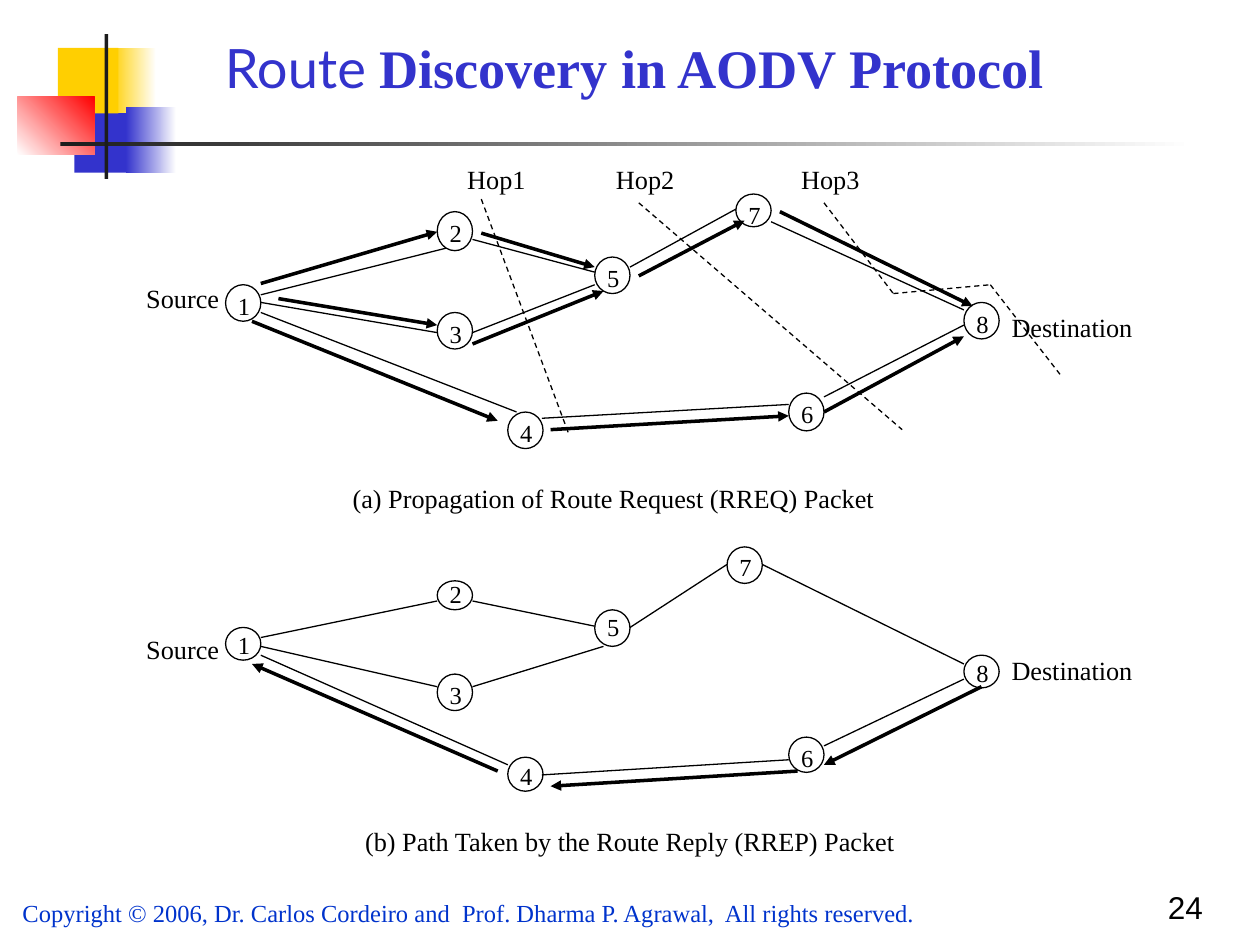
"""Build the slide on route discovery in the AODV protocol."""
from lxml import etree
from pptx import Presentation
from pptx.dml.color import RGBColor
from pptx.enum.dml import MSO_LINE
from pptx.enum.shapes import MSO_CONNECTOR, MSO_SHAPE
from pptx.enum.text import PP_ALIGN
from pptx.oxml.ns import qn
from pptx.util import Inches, Pt

RECT, OVAL = MSO_SHAPE.RECTANGLE, MSO_SHAPE.OVAL
STRAIGHT, DASH = MSO_CONNECTOR.STRAIGHT, MSO_LINE.DASH
LEFT, CENTER = PP_ALIGN.LEFT, PP_ALIGN.CENTER
SERIF, SANS, TITLE_FONT = "Times New Roman", "Arial", "Lato"
BLACK, WHITE, BLUE, YELLOW, INK = "000000", "FFFFFF", "3333CC", "FFCF01", "1C1C1C"
NODE_WIDTH, DIGIT_SIZE = 0.28, (0.35, 0.34)

DECORATION = [
    ((0.59, 0.85, 0.46, 0.52), [BLUE], 0),
    ((0.88, 0.38, 0.36, 0.52), [YELLOW, WHITE], 0),
    ((0.46, 0.38, 0.48, 0.52), [YELLOW], 0),
    ((1, 0.85, 0.4, 0.52), [BLUE, WHITE], 0),
    ((0.14, 0.77, 0.61, 0.46), [WHITE, "FF0000"], 45),
    ((0.48, 1.13, 9, 0.03), [INK, WHITE], 0),
    ((0.83, 0.27, 0.03, 1.15), [INK], 0),
]

TITLE = [("Route", TITLE_FONT, False), (" Discovery in AODV Protocol", SERIF, True)]
COPYRIGHT = "Copyright © 2006, Dr. Carlos Cordeiro and  Prof. Dharma P. Agrawal,  All rights reserved."

REQUEST = {
    "nodes": [  # label, left, top, height, digit top
        ("1", 1.79, 2.26, 0.29, 2.26), ("2", 3.47, 1.68, 0.31, 1.68),
        ("5", 4.72, 2.04, 0.29, 2.04), ("3", 3.47, 2.48, 0.29, 2.48),
        ("4", 4.03, 3.27, 0.29, 3.27), ("6", 6.26, 3.12, 0.3, 3.12),
        ("8", 7.65, 2.4, 0.29, 2.4), ("7", 5.84, 1.54, 0.26, 1.54),
    ],
    "links": [
        (2.07, 2.34, 3.54, 1.97), (6.12, 1.76, 7.65, 2.46), (2.07, 2.4, 3.47, 2.64),
        (2.07, 2.48, 4.1, 3.27), (4.3, 3.32, 6.26, 3.21), (6.54, 3.15, 7.65, 2.58),
        (3.75, 2.64, 4.72, 2.26), (3.75, 1.9, 4.72, 2.16), (5, 2.12, 5.84, 1.66),
    ],
    "packets": [
        (2.07, 2.25, 3.47, 1.84), (2.21, 2.37, 3.47, 2.58), (3.75, 2.73, 4.79, 2.31),
        (3.82, 1.85, 4.72, 2.12), (5.07, 2.19, 5.91, 1.75), (2, 2.55, 3.95, 3.34),
        (4.37, 3.41, 6.26, 3.3), (6.54, 3.27, 7.65, 2.67), (6.19, 1.68, 7.72, 2.43),
    ],
    "source_top": 2.19,
    "destination_top": 2.42,
    "caption": ("(a) Propagation of Route Request (RREQ) Packet", (1.59, 3.78, 6.56, 0.35)),
}

REPLY = {
    "nodes": [
        ("1", 1.79, 4.98, 0.26, 4.95), ("2", 3.47, 4.61, 0.23, 4.55),
        ("5", 4.72, 4.84, 0.29, 4.81), ("3", 3.47, 5.35, 0.29, 5.35),
        ("4", 4.03, 6.01, 0.27, 5.99), ("6", 6.26, 5.85, 0.28, 5.85),
        ("8", 7.65, 5.2, 0.26, 5.17), ("7", 5.77, 4.34, 0.29, 4.33),
    ],
    "links": [
        (2.07, 5.06, 3.47, 4.77), (6.05, 4.48, 7.65, 5.27), (2.07, 5.13, 3.47, 5.45),
        (2.07, 5.2, 4.03, 6.07), (4.3, 6.15, 6.26, 6.03), (6.54, 5.92, 7.65, 5.39),
        (3.75, 5.45, 4.79, 5.13), (3.75, 4.77, 4.72, 4.97), (5, 4.98, 5.77, 4.48),
    ],
    "packets": [
        (7.79, 5.45, 6.54, 6.07), (6.33, 6.12, 4.37, 6.24), (3.95, 6.12, 2, 5.27),
    ],
    "source_top": 4.98,
    "destination_top": 5.14,
    "caption": ("(b) Path Taken by the Route Reply (RREP) Packet", (1.79, 6.5, 6.42, 0.35)),
}

HOPS = [("Hop1", 3.61), ("Hop2", 4.79), ("Hop3", 6.26)]
HOP_BOUNDARIES = [
    (3.82, 1.58, 4.52, 3.46), (5.07, 1.61, 7.16, 3.41), (6.54, 1.61, 7.09, 2.33),
    (7.86, 2.26, 8.42, 2.98), (7.09, 2.33, 7.86, 2.26),
]


def rgb(color):
    return RGBColor.from_string(color)


def add_block(slide, kind, box, colors, angle=0, outline=None):
    block = slide.shapes.add_shape(kind, *map(Inches, box))
    block.shadow.inherit = False
    if len(colors) == 1:
        block.fill.solid()
        block.fill.fore_color.rgb = rgb(colors[0])
    else:
        block.fill.gradient()
        block.fill.gradient_angle = angle
        for position, (stop, color) in enumerate(zip(block.fill.gradient_stops, colors)):
            stop.position = position
            stop.color.rgb = rgb(color)
    if outline:
        block.line.color.rgb = rgb(outline)
        block.line.width = Pt(0.75)
    else:
        block.line.fill.background()


def add_text(slide, box, text, size=15, color=BLACK, font=SERIF, align=LEFT):
    frame = slide.shapes.add_textbox(*map(Inches, box)).text_frame
    frame.word_wrap = True
    paragraph = frame.paragraphs[0]
    paragraph.text = text
    paragraph.alignment = align
    paragraph.font.size = Pt(size)
    paragraph.font.name = font
    paragraph.font.color.rgb = rgb(color)
    return paragraph


def add_line(slide, ends, width=0.75, dash=None, arrow=False):
    connector = slide.shapes.add_connector(STRAIGHT, *map(Inches, ends))
    connector.line.color.rgb = rgb(BLACK)
    connector.line.width = Pt(width)
    if dash:
        connector.line.dash_style = dash
    if arrow:
        etree.SubElement(connector.line._get_or_add_ln(), qn("a:tailEnd"), type="triangle")
    etree.SubElement(connector._element.spPr, qn("a:effectLst"))


def add_diagram(slide, diagram):
    add_text(slide, (0.96, diagram["source_top"], 0.98, 0.35), "Source", align=CENTER)
    add_text(slide, (7.93, diagram["destination_top"], 1.26, 0.35), "Destination")
    for _, left, top, height, _ in diagram["nodes"]:
        add_block(slide, OVAL, (left, top, NODE_WIDTH, height), [WHITE], outline=BLACK)
    for link in diagram["links"]:
        add_line(slide, link)
    for label, left, _, _, digit_top in diagram["nodes"]:
        add_text(slide, (left, digit_top, *DIGIT_SIZE), label, size=14)
    for packet in diagram["packets"]:
        add_line(slide, packet, width=2, arrow=True)
    caption, box = diagram["caption"]
    add_text(slide, box, caption, align=CENTER)


def main():
    deck = Presentation()
    deck.slide_width, deck.slide_height = Inches(10), Inches(7.5)
    slide = deck.slides.add_slide(deck.slide_layouts[6])

    for box, colors, angle in DECORATION:
        add_block(slide, RECT, box, colors, angle)
    add_text(slide, (0.08, 7.08, 7.58, 0.34), COPYRIGHT, 14, "0033CC")
    add_text(slide, (9.17, 7, 0.67, 0.4), "24", 18, font=SANS)

    title = add_text(slide, (0.97, 0.22, 8.13, 0.62), "", 31, BLUE, align=CENTER)
    for words, font, bold in TITLE:
        run = title.add_run()
        run.text, run.font.name, run.font.bold = words, font, bold

    for diagram in (REQUEST, REPLY):
        add_diagram(slide, diagram)
    for boundary in HOP_BOUNDARIES:
        add_line(slide, boundary, dash=DASH)
    for hop, left in HOPS:
        add_text(slide, (left, 1.25, 0.98, 0.35), hop)

    deck.save("out.pptx")


if __name__ == "__main__":
    main()
